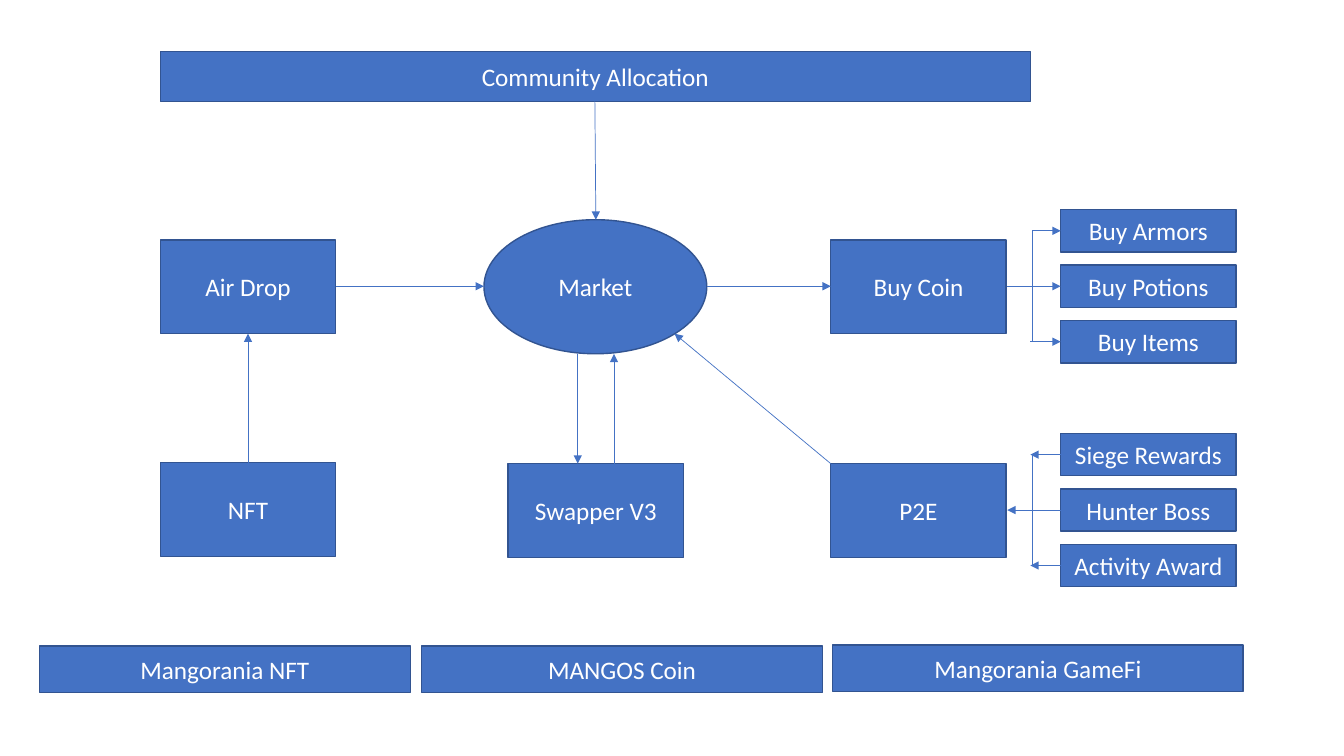
import pptx
import pptx.dml.color
import pptx.enum.shapes
import pptx.enum.text
import pptx.oxml.ns
import pptx.util
from lxml import etree

PX = 9144  # EMU per px, 100 px to the inch
BLUE = pptx.dml.color.RGBColor(0x44, 0x72, 0xC4)
NAVY = pptx.dml.color.RGBColor(0x32, 0x54, 0x91)
WHITE = pptx.dml.color.RGBColor(0xFF, 0xFF, 0xFF)
RECT = pptx.enum.shapes.MSO_SHAPE.RECTANGLE
OVAL = pptx.enum.shapes.MSO_SHAPE.OVAL

BOX_W, BOX_H = 174, 93
ITEM_X, ITEM_H, ITEM_STEP = 1052, 42, 55
TRUNK_X = 1024

BOXES = [
    ("Buy Coin", 824, 238),
    ("P2E", 824, 460),
    ("Swapper V3", 504, 460),
    ("Air Drop", 159, 238),
    ("NFT", 159, 459),
]
BARS = [
    ("Mangorania NFT", 39, 641, 368, 46),
    ("MANGOS Coin", 418, 641, 398, 46),
    ("Mangorania GameFi", 826, 640, 407, 46),
    ("Community Allocation", 159, 51, 863, 50),
]
ARROWS = [
    (701, 284, 824, 284),  # Market to Buy Coin
    (824, 460, 669, 331),  # P2E to Market
    (333, 284, 480, 284),  # Air Drop to Market
    (573, 351, 573, 460),  # Market to swap
    (609, 460, 609, 351),  # swap to Market
    (246, 459, 246, 331),  # NFT to Air Drop
    (590, 100, 591, 218),  # Community Allocation to Market
]
PURCHASES = ["Buy Armors", "Buy Potions", "Buy Items"]
REWARDS = ["Siege Rewards", "Hunter Boss", "Activity Award"]


def px(n):
    return pptx.util.Emu(n * PX)


def add_box(s, text, x, y, w, h, kind=RECT):
    sp = s.shapes.add_shape(kind, px(x), px(y), px(w), px(h))
    sp.shadow.inherit = False
    sp.fill.solid()
    sp.fill.fore_color.rgb = BLUE
    sp.line.color.rgb = NAVY
    sp.line.width = pptx.util.Pt(1)
    tf = sp.text_frame
    tf.word_wrap = True
    tf.vertical_anchor = pptx.enum.text.MSO_ANCHOR.MIDDLE
    p = tf.paragraphs[0]
    p.alignment = pptx.enum.text.PP_ALIGN.CENTER
    r = p.add_run()
    r.text = text
    r.font.name = "Calibri"
    r.font.size = pptx.util.Pt(18)
    r.font.color.rgb = WHITE


def add_line(s, x1, y1, x2, y2, arrow=True):
    c = s.shapes.add_connector(
        pptx.enum.shapes.MSO_CONNECTOR.STRAIGHT, px(x1), px(y1), px(x2), px(y2))
    c.line.color.rgb = BLUE
    c.line.width = pptx.util.Pt(0.5)
    qn = pptx.oxml.ns.qn
    if arrow:
        etree.SubElement(c.line._get_or_add_ln(), qn("a:tailEnd"), type="triangle")
    etree.SubElement(c._element.spPr, qn("a:effectLst"))


def add_branch(s, labels, top, box_edge, outward):
    """Stack three items and join them to the box on their left."""
    mids = []
    for i, label in enumerate(labels):
        y = top + i * ITEM_STEP
        add_box(s, label, ITEM_X, y, BOX_W, ITEM_H)
        mids.append(y + ITEM_H // 2)
    add_line(s, TRUNK_X, mids[0], TRUNK_X, mids[-1], arrow=False)
    for left, y in zip((TRUNK_X, box_edge, TRUNK_X - 2), mids):
        if outward:
            add_line(s, left, y, ITEM_X, y)
        else:
            add_line(s, ITEM_X, y, min(left, TRUNK_X - 2), y)


def main():
    prs = pptx.Presentation()
    prs.slide_width, prs.slide_height = px(1333), px(750)
    s = prs.slides.add_slide(prs.slide_layouts[6])
    add_box(s, "Market", 480, 218, 221, 133, OVAL)
    for text, x, y in BOXES:
        add_box(s, text, x, y, BOX_W, BOX_H)
    for bar in BARS:
        add_box(s, *bar)
    for arrow in ARROWS:
        add_line(s, *arrow)
    add_branch(s, PURCHASES, 208, 999, outward=True)
    add_branch(s, REWARDS, 430, 999, outward=False)
    prs.save("out.pptx")


if __name__ == "__main__":
    main()
